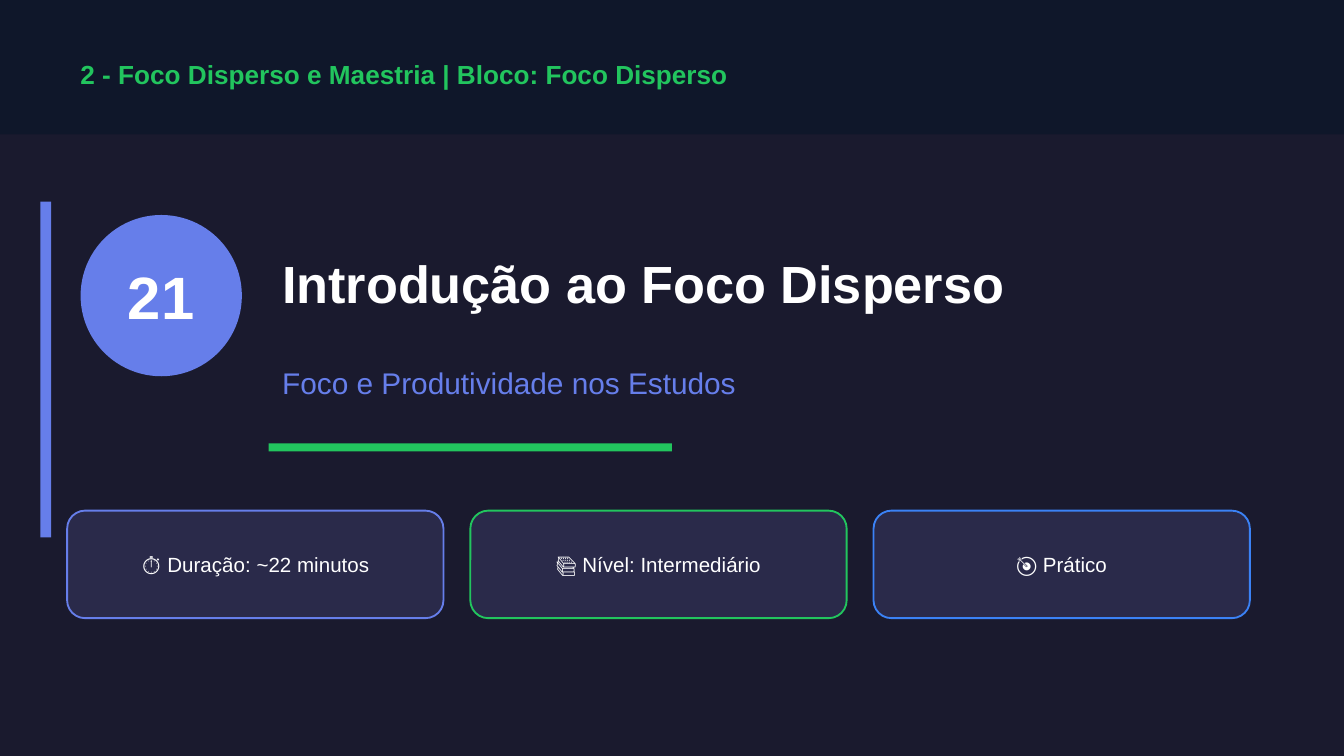
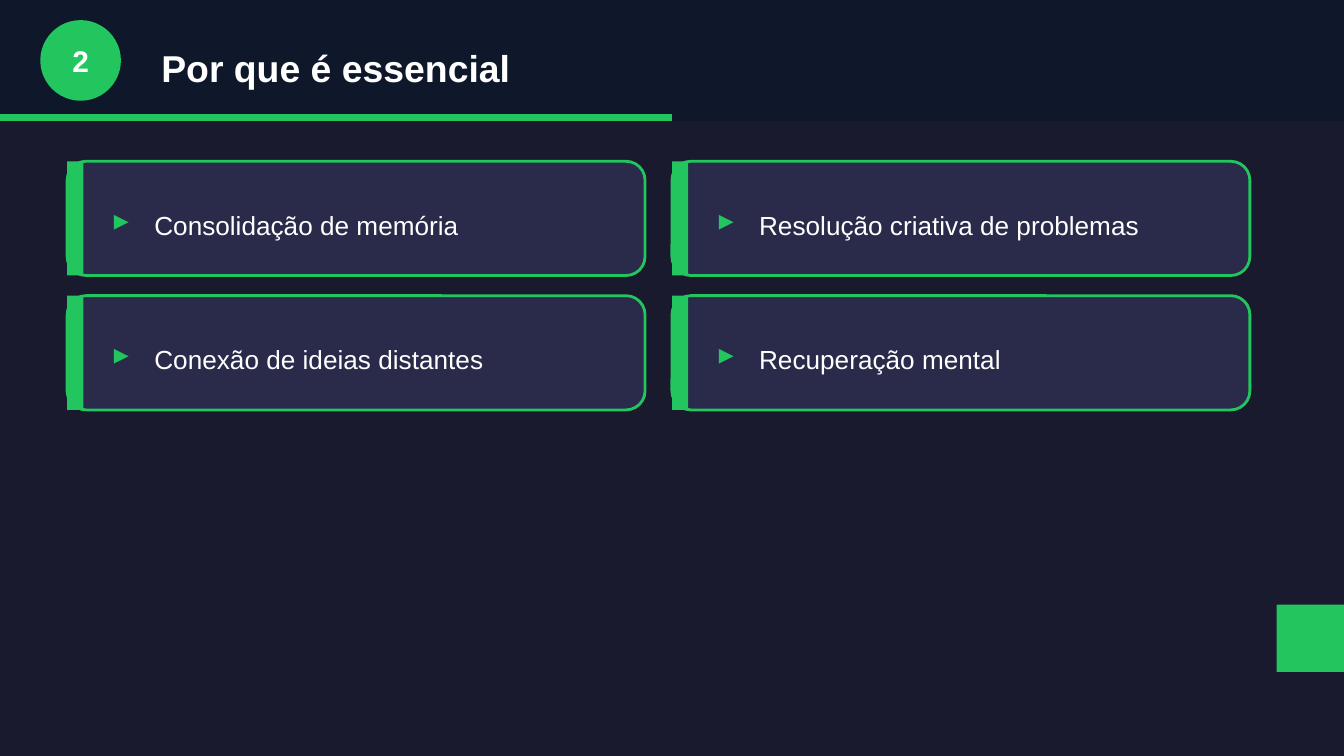
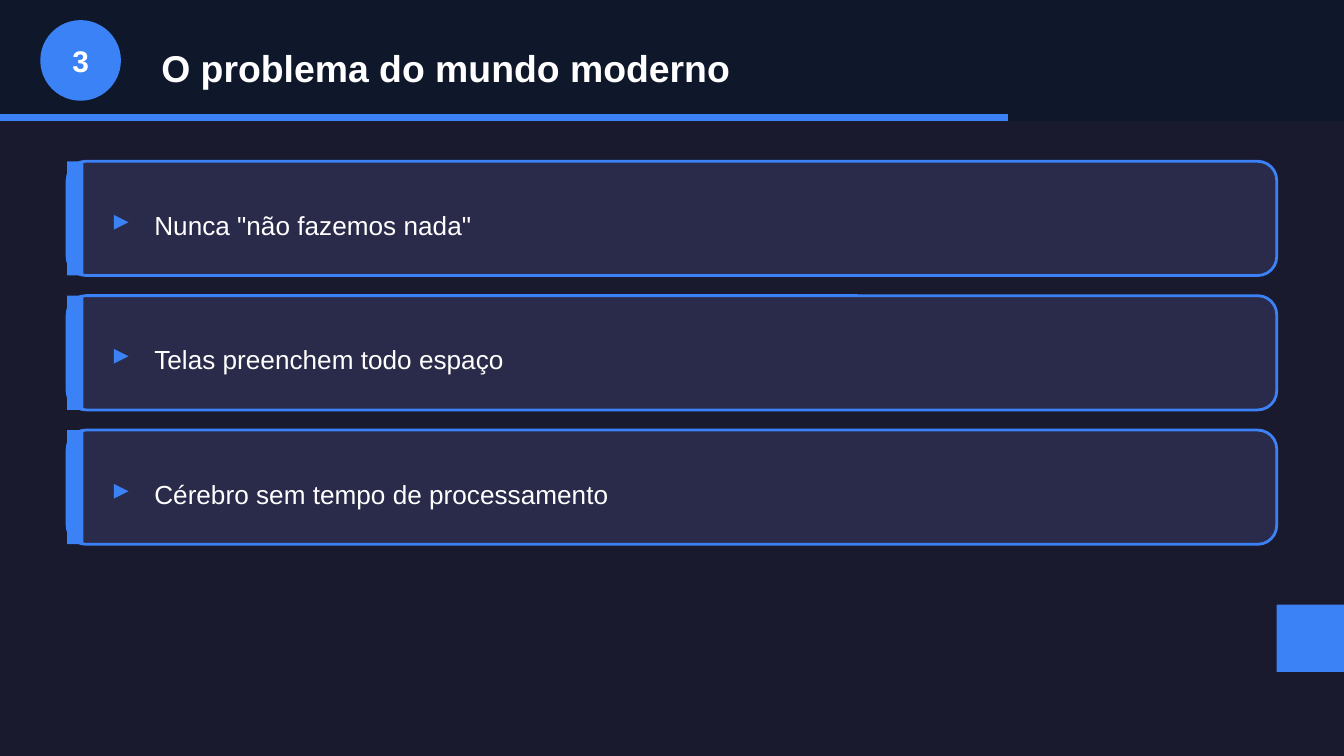
"""Builds a three-slide lesson opening on scattered focus."""
from dataclasses import dataclass

from pptx import Presentation
from pptx.dml.color import RGBColor as Rgb
from pptx.enum.shapes import MSO_SHAPE as Kind
from pptx.enum.text import MSO_ANCHOR as Anchor, MSO_AUTO_SIZE as Fit, PP_ALIGN as Align
from pptx.util import Inches, Pt


@dataclass(frozen=True)
class Theme:
    font: str = "Arial"
    back: str = "1A1A2E"
    band: str = "0F172A"
    card: str = "2A2A4A"
    white: str = "FFFFFF"
    violet: str = "667EEA"
    green: str = "22C55E"
    blue: str = "3B82F6"
    hero: int = 32
    cover: int = 28
    title: int = 20
    lead: int = 16
    body: int = 14
    small: int = 11


T = Theme()
WIDE = 10
HIGH = WIDE * 9 / 16
LEFT, GAP = 0.5, 0.2
PARTS = 4

COVER = {
    "block": "2 - Foco Disperso e Maestria | Bloco: Foco Disperso",
    "number": "21",
    "title": "Introdução ao Foco Disperso",
    "lead": "Foco e Produtividade nos Estudos",
    "facts": [
        ("⏱ Duração: ~22 minutos", T.violet),
        ("📚 Nível: Intermediário", T.green),
        ("🎯 Prático", T.blue),
    ],
}

TOPICS = [
    {
        "number": 2, "title": "Por que é essencial", "color": T.green,
        "cols": 2, "width": 4.3,
        "points": [
            "Consolidação de memória",
            "Resolução criativa de problemas",
            "Conexão de ideias distantes",
            "Recuperação mental",
        ],
    },
    {
        "number": 3, "title": "O problema do mundo moderno", "color": T.blue,
        "cols": 1, "width": 9,
        "points": [
            'Nunca "não fazemos nada"',
            "Telas preenchem todo espaço",
            "Cérebro sem tempo de processamento",
        ],
    },
]


def draw(slide, kind, at, fill, line=None, weight=1):
    """Add a filled shape, outlined when a line colour is given."""
    shape = slide.shapes.add_shape(kind, *map(Inches, at))
    shape.shadow.inherit = False
    shape.fill.solid()
    shape.fill.fore_color.rgb = Rgb.from_string(fill)
    if line:
        shape.line.color.rgb = Rgb.from_string(line)
        shape.line.width = Pt(weight)
    else:
        shape.line.fill.background()


def style(box, text, size, color, bold=False, align=Align.LEFT):
    """Fill a text holder with one formatted line."""
    frame = box.text_frame
    frame.text = text
    frame.word_wrap = True
    frame.auto_size = Fit.NONE
    frame.vertical_anchor = Anchor.MIDDLE
    line = frame.paragraphs[0]
    line.alignment = align
    line.space_before = Pt(0)
    font = line.runs[0].font
    font.name, font.size, font.bold = T.font, Pt(size), bold
    font.color.rgb = Rgb.from_string(color)


def write(slide, at, *look, **more):
    """Add a text box with one formatted line."""
    style(slide.shapes.add_textbox(*map(Inches, at)), *look, **more)


def place(box, at, *look, **more):
    """Move a placeholder to the front and fill it."""
    box.left, box.top, box.width, box.height = map(Inches, at)
    box.element.getparent().append(box.element)
    style(box, *look, **more)


def open_lesson(deck):
    """Build the cover slide."""
    slide = deck.slides.add_slide(deck.slide_layouts[0])
    draw(slide, Kind.RECTANGLE, (0, 0, WIDE, 1), T.band)
    write(slide, (LEFT, 0.35, 9, 0.4), COVER["block"], T.body, T.green, bold=True)
    draw(slide, Kind.RECTANGLE, (0.3, 1.5, 0.08, 2.5), T.violet)
    draw(slide, Kind.OVAL, (0.6, 1.6, 1.2, 1.2), T.violet)
    write(slide, (0.6, 1.85, 1.2, 0.7), COVER["number"], T.hero, T.white,
          bold=True, align=Align.CENTER)
    place(slide.shapes.title, (2, 1.6, 7.5, 1), COVER["title"], T.cover, T.white, bold=True)
    place(slide.placeholders[1], (2, 2.6, 7.5, 0.5), COVER["lead"], T.lead, T.violet)
    draw(slide, Kind.RECTANGLE, (2, 3.3, 3, 0.06), T.green)
    width = 2.8
    for col, (fact, color) in enumerate(COVER["facts"]):
        left = LEFT + col * (width + GAP)
        draw(slide, Kind.ROUNDED_RECTANGLE, (left, 3.8, width, 0.8), T.card, color)
        write(slide, (left, 3.95, width, 0.5), fact, T.small, T.white, align=Align.CENTER)


def add_point(slide, left, top, width, text, color):
    """Add one card with its edge, marker and text."""
    high = 0.85
    draw(slide, Kind.ROUNDED_RECTANGLE, (left, top, width, high), T.card, color, 1.5)
    draw(slide, Kind.RECTANGLE, (left, top, 0.12, high), color)
    write(slide, (left + 0.25, top + 0.25, 0.3, 0.35), "▸", T.lead, color, bold=True)
    write(slide, (left + 0.55, top + 0.25, width - 0.8, 0.45), text, T.body, T.white)


def add_topic(deck, topic):
    """Build one topic slide with its grid of cards."""
    slide = deck.slides.add_slide(deck.slide_layouts[5])
    color, number = topic["color"], topic["number"]
    draw(slide, Kind.RECTANGLE, (0, 0, WIDE, 0.9), T.band)
    draw(slide, Kind.RECTANGLE, (0, 0.85, WIDE * number / PARTS, 0.05), color)
    draw(slide, Kind.OVAL, (0.3, 0.15, 0.6, 0.6), color)
    write(slide, (0.3, 0.25, 0.6, 0.4), str(number), T.lead, T.white,
          bold=True, align=Align.CENTER)
    place(slide.shapes.title, (1.1, 0.25, 8.5, 0.5), topic["title"], T.title, T.white, bold=True)
    for index, text in enumerate(topic["points"]):
        row, col = divmod(index, topic["cols"])
        left = LEFT + col * (topic["width"] + GAP)
        add_point(slide, left, 1.2 + row, topic["width"], text, color)
    draw(slide, Kind.RECTANGLE, (WIDE - 0.5, 4.5, 0.5, 0.5), color)


def main():
    """Build and save the deck."""
    deck = Presentation()
    deck.slide_width, deck.slide_height = Inches(WIDE), Inches(HIGH)
    fill = deck.slide_master.background.fill
    fill.solid()
    fill.fore_color.rgb = Rgb.from_string(T.back)
    open_lesson(deck)
    for topic in TOPICS:
        add_topic(deck, topic)
    deck.save("out.pptx")


if __name__ == "__main__":
    main()
